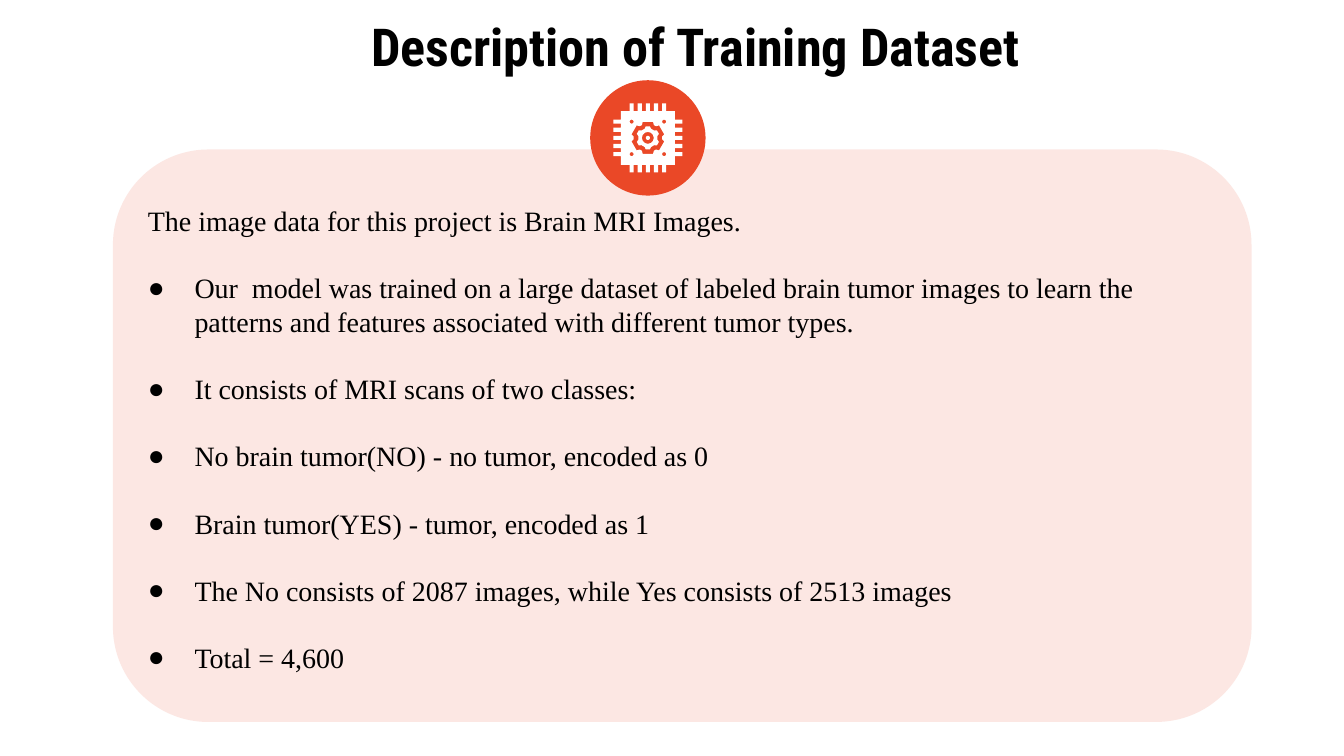
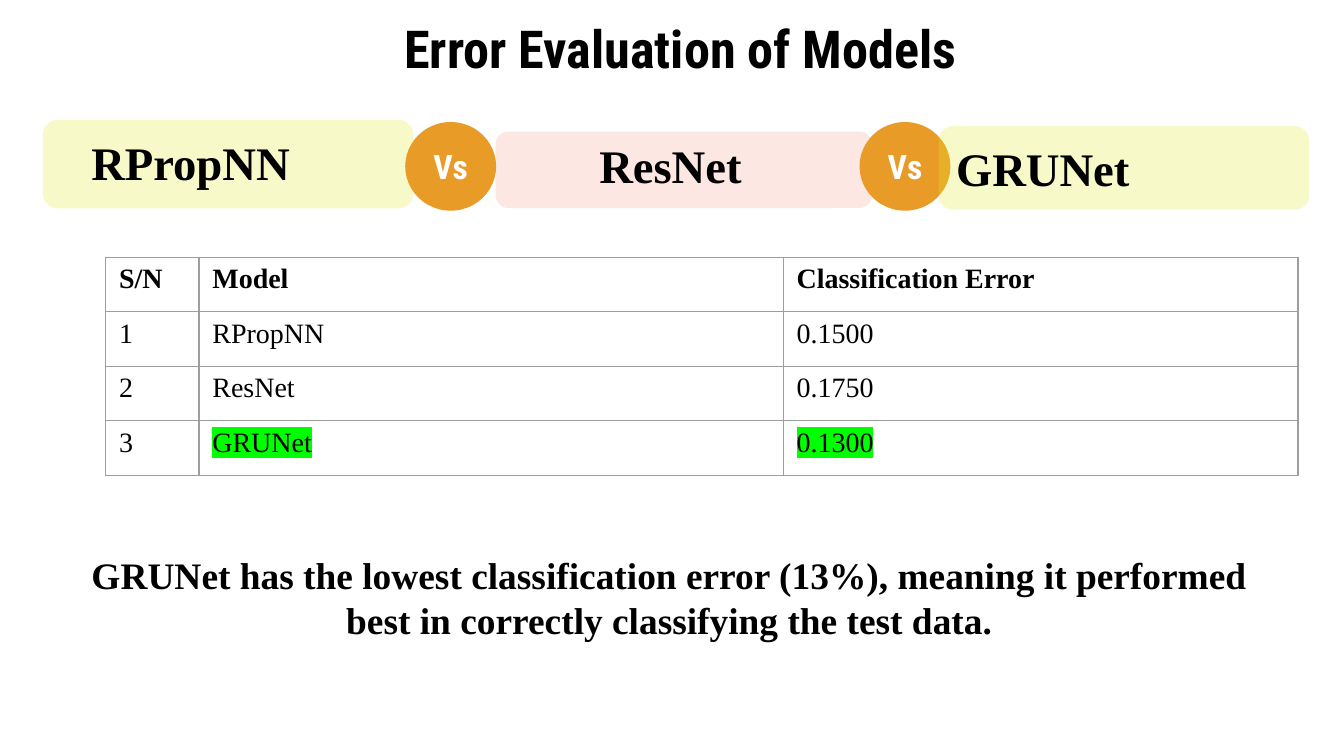
from dataclasses import dataclass
from math import cos, radians, sin

from lxml import etree
from pptx import Presentation
from pptx.dml.color import RGBColor
from pptx.enum.shapes import MSO_SHAPE
from pptx.enum.text import MSO_ANCHOR, MSO_AUTO_SIZE, PP_ALIGN
from pptx.oxml.ns import qn
from pptx.util import Pt

ROUND, OVAL = MSO_SHAPE.ROUNDED_RECTANGLE, MSO_SHAPE.OVAL
LEFT, CENTER = PP_ALIGN.LEFT, PP_ALIGN.CENTER
TOP, MIDDLE = MSO_ANCHOR.TOP, MSO_ANCHOR.MIDDLE
FIXED = MSO_AUTO_SIZE.NONE


@dataclass(frozen=True)
class Theme:
    ink: str = "000000"
    white: str = "FFFFFF"
    red: str = "EA4827"
    lime: str = "E4EA27"
    amber: str = "E99B27"
    rule: str = "9E9E9E"
    mark: str = "00FF00"
    head: str = "Roboto Condensed"
    text: str = "Times New Roman"
    title: int = 28
    name: int = 25
    note: int = 20
    versus: int = 18
    body: int = 15
    lead: float = 1.2


T = Theme()

FACTS = [
    "The image data for this project is Brain MRI Images.",
    "Our  model was trained on a large dataset of labeled brain tumor images "
    "to learn the patterns and features associated with different tumor types.",
    "It consists of MRI scans of two classes:",
    "No brain tumor(NO) - no tumor, encoded as 0",
    "Brain tumor(YES) - tumor, encoded as 1",
    "The No consists of 2087 images, while Yes consists of 2513 images",
    "Total = 4,600",
]
ROWS = [
    ("S/N", "Model", "Classification Error"),
    ("1", "RPropNN", "0.1500"),
    ("2", "ResNet", "0.1750"),
    ("3", "GRUNet", "0.1300"),
]
NOTE = ("GRUNet has the lowest classification error (13%), meaning it "
        "performed best in correctly classifying the test data.")


# Shared helpers

def add(parent, tag, **attrs):
    node = etree.SubElement(parent, qn(tag))
    for key, value in attrs.items():
        node.set(key, str(value))
    return node


def style(para, size, face=T.text, color=T.ink, bold=False, align=LEFT):
    para.alignment = align
    for run in para.runs:
        font = run.font
        font.size, font.name, font.bold = Pt(size), face, bold
        font.color.rgb = RGBColor.from_string(color)


def frame(shape, anchor, pad=7.2):
    box = shape.text_frame
    box.word_wrap, box.auto_size = True, FIXED
    box.vertical_anchor = anchor
    box.margin_left = box.margin_right = Pt(7.2)
    box.margin_top = box.margin_bottom = Pt(pad)
    return box


def place(shape, box):
    shape.left, shape.top, shape.width, shape.height = map(Pt, box)


def paint(shape, color):
    shape.shadow.inherit = False
    shape.fill.solid()
    shape.fill.fore_color.rgb = RGBColor.from_string(color)
    shape.line.fill.background()


def block(slide, kind, box, color, alpha=None):
    shape = slide.shapes.add_shape(kind, *map(Pt, box))
    paint(shape, color)
    if alpha:
        tint = shape.element.spPr.find(qn("a:solidFill"))[0]
        add(tint, "a:alpha", val=alpha * 1000)
    return shape


def outline(slide, loops, color):
    """Draw closed loops as one shape; inner loops become holes."""
    (first, *_), *_ = loops
    pen = slide.shapes.build_freeform(*map(Pt, first))
    for k, loop in enumerate(loops):
        start, *rest = [(Pt(x), Pt(y)) for x, y in loop]
        if k:
            pen.move_to(*start)
        pen.add_line_segments(rest, close=True)
    paint(pen.convert_to_shape(), color)


def heading(slide, text, box):
    title = slide.shapes.title
    place(title, box)
    area = frame(title, MIDDLE)
    area.text = text
    style(area.paragraphs[0], T.title, T.head, bold=True, align=CENTER)


def label(slide, text, box, size, align=LEFT):
    area = frame(slide.shapes.add_textbox(*map(Pt, box)), TOP, 3.6)
    area.text = text
    para = area.paragraphs[0]
    para.line_spacing = Pt(size * T.lead)
    style(para, size, bold=True, align=align)


# Icon outlines

def polar(x, y, size, angle):
    return x + size * sin(radians(angle)), y - size * cos(radians(angle))


def ring(x, y, size, count=12):
    return [polar(x, y, size, -k * 360 / count) for k in range(count)]


def gear(x, y, tip, root, near, far):
    teeth = ((-far, root), (-near, tip), (near, tip), (far, root))
    return [polar(x, y, size, turn + angle)
            for turn in range(0, 360, 60) for angle, size in teeth]


def pins(x, y):
    edge, end, half, step = 14.4, 18.5, 1.1, 4.35
    side = [(-edge, -edge)]
    for k in range(-2, 3):
        a, b = k * step - half, k * step + half
        side += [(a, -edge), (a, -end), (b, -end), (b, -edge)]
    points = []
    for _ in range(4):
        points += [(x + dx, y + dy) for dx, dy in side]
        side = [(-dy, dx) for dx, dy in side]
    return points


# Regions

def chip(slide, box):
    x, y, size, _ = box
    mid = (x + size / 2, y + size / 2)
    block(slide, OVAL, box, T.red)
    dots = [ring(mid[0] + dx, mid[1] + dy, 1.1, 8)
            for dx in (-8.7, 8.7) for dy in (-8.7, 8.7)]
    outline(slide, [pins(*mid), gear(*mid, 9, 7.6, 18, 25), *dots], T.white)
    outline(slide, [gear(*mid, 6.3, 5.2, 10, 19), ring(*mid, 3.2)], T.white)
    block(slide, OVAL, (mid[0] - 1.1, mid[1] - 1.1, 2.2, 2.2), T.white)


def facts(slide, box):
    body = slide.placeholders[1]
    place(body, box)
    body.element.getparent().append(body.element)  # bring to front
    area = frame(body, TOP)
    area.text = "\n".join(FACTS)
    line = Pt(T.body * T.lead)
    for k, para in enumerate(area.paragraphs):
        props = para._p.get_or_add_pPr()
        inset = Pt(25) if k else 0
        props.set("marL", str(inset))
        props.set("indent", str(-inset))
        if k:
            add(add(props, "a:buClr"), "a:srgbClr", val=T.ink)
            add(props, "a:buChar", char="●")
        else:
            add(props, "a:buNone")
        para.line_spacing = line
        para.space_before = line if k else 0
        style(para, T.body)


def versus(slide, box):
    x, y, _, _ = box
    block(slide, ROUND, (x + 242.6, y + 6.3, 201.6, 41), T.red, 13)
    block(slide, ROUND, (x, y, 198.4, 47.5), T.lime, 25)
    for dx in (194.1, 437.5):
        ball = block(slide, OVAL, (x + dx, y + 1.2, 48.7, 47.5), T.amber)
        area = frame(ball, MIDDLE)
        area.text = "Vs"
        style(area.paragraphs[0], T.versus, T.head, T.white, True, CENTER)
    last = block(slide, ROUND, (x + 479.9, y + 3.4, 198.4, 44.8), T.lime, 25)
    area = frame(last, MIDDLE)
    area.text = "GRUNet"
    area.paragraphs[0].line_spacing = Pt(T.name * T.lead)
    style(area.paragraphs[0], T.name, bold=True)
    label(slide, "RPropNN", (x + 18.8, y + 3.8, 164.9, 67.7), T.name)
    label(slide, "ResNet", (x + 253, y + 5.7, 166.3, 37.4), T.name, CENTER)


def border(cell):
    props = cell._tc.get_or_add_tcPr()
    for side in ("L", "R", "T", "B"):
        line = add(props, f"a:ln{side}", w=Pt(0.75))
        add(add(line, "a:solidFill"), "a:srgbClr", val=T.rule)


def glow(run):
    mark = etree.Element(qn("a:highlight"))
    add(mark, "a:srgbClr", val=T.mark)
    run.font._element.find(qn("a:solidFill")).addnext(mark)


def errors(slide, box):
    table = slide.shapes.add_table(len(ROWS), 3, *map(Pt, box)).table
    table.first_row = table.horz_banding = False
    for col, width in zip(table.columns, (50, 313, 275.8)):
        col.width = Pt(width)
    for r, row in enumerate(ROWS):
        table.rows[r].height = Pt(box[3] / len(ROWS))
        for c, text in enumerate(row):
            cell = table.cell(r, c)
            border(cell)
            cell.fill.background()
            cell.text = text
            para = cell.text_frame.paragraphs[0]
            style(para, T.body, bold=r == 0)
            if r == len(ROWS) - 1 and c:
                glow(para.runs[0])


# Slides

def dataset(deck):
    slide = deck.slides.add_slide(deck.slide_layouts[1])
    heading(slide, "Description of Training Dataset", (48.5, 9.7, 648, 29.5))
    block(slide, ROUND, (60.5, 80.1, 610, 306.7), T.red, 13)
    chip(slide, (316.2, 43, 61.8, 61.8))
    facts(slide, (72, 101.9, 551, 275))


def models(deck):
    slide = deck.slides.add_slide(deck.slide_layouts[5])
    heading(slide, "Error Evaluation of Models", (40.4, 10.7, 648, 29.5))
    versus(slide, (23, 64.2, 678.2, 48.7))
    errors(slide, (56.6, 137.8, 638.8, 116.8))
    label(slide, NOTE, (28.9, 292.3, 659.5, 55.4), T.note, CENTER)


def main():
    deck = Presentation()
    deck.slide_width, deck.slide_height = Pt(720), Pt(405)
    dataset(deck)
    models(deck)
    deck.save("out.pptx")


if __name__ == "__main__":
    main()
